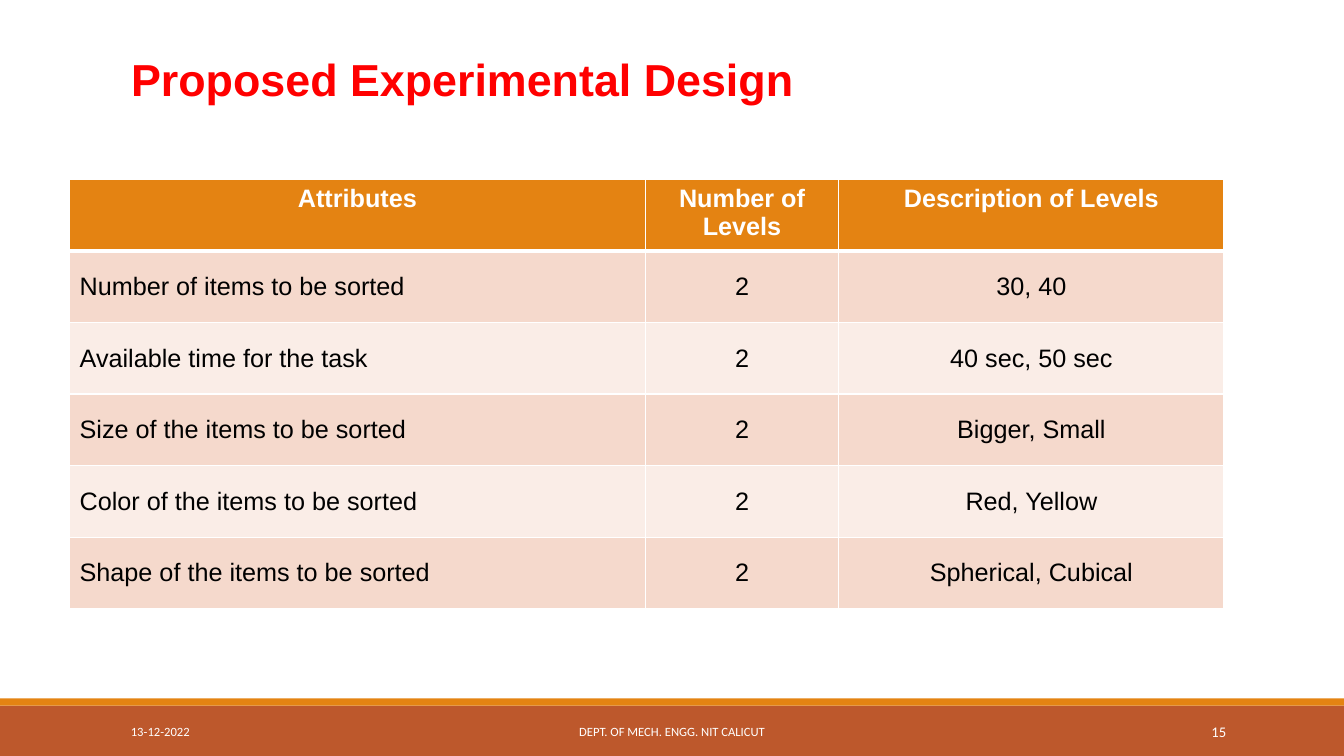
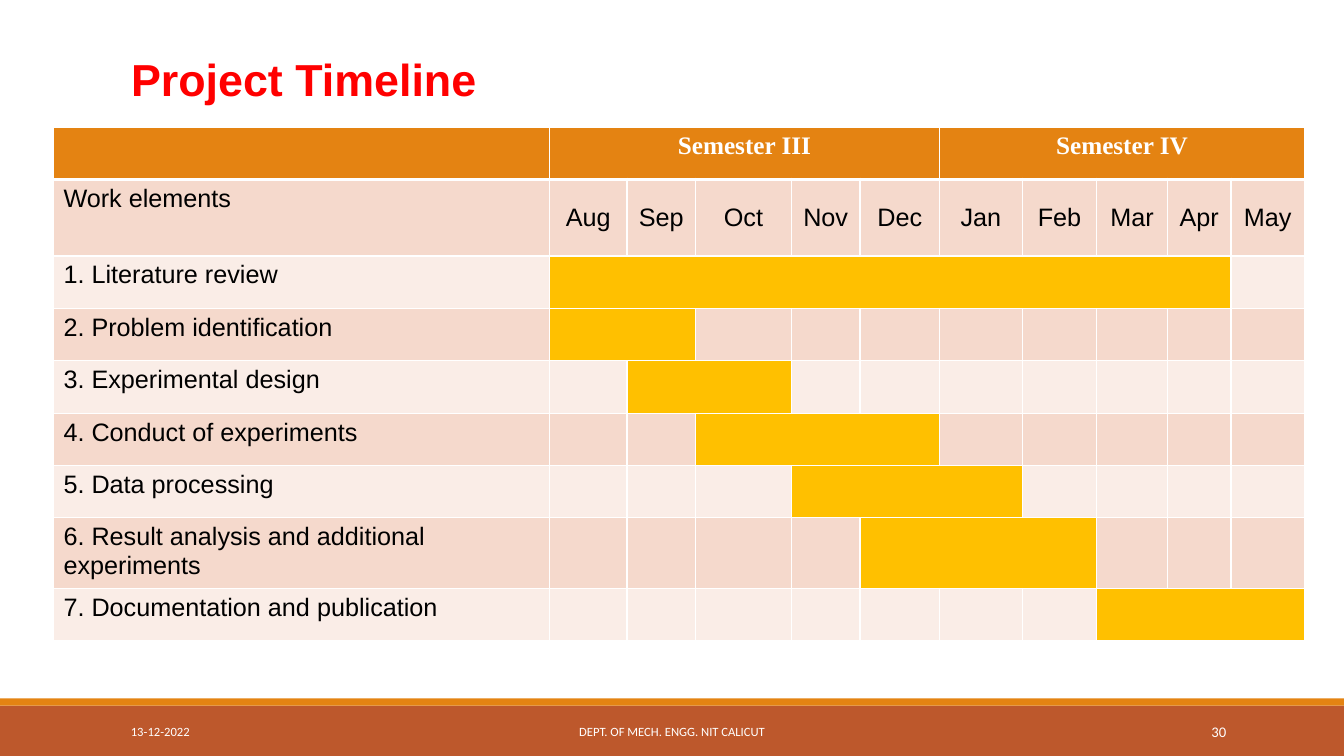
from lxml import etree
from pptx import Presentation
from pptx.dml.color import RGBColor
from pptx.enum.shapes import MSO_SHAPE
from pptx.enum.text import MSO_ANCHOR, MSO_AUTO_SIZE, PP_ALIGN
from pptx.oxml.ns import qn
from pptx.util import Inches, Pt

LEFT, CENTER, RIGHT = PP_ALIGN.LEFT, PP_ALIGN.CENTER, PP_ALIGN.RIGHT
TOP, MIDDLE = MSO_ANCHOR.TOP, MSO_ANCHOR.MIDDLE
RECTANGLE = MSO_SHAPE.RECTANGLE
NO_AUTOFIT = MSO_AUTO_SIZE.NONE

WHITE = RGBColor(0xFF, 0xFF, 0xFF)
BLACK = RGBColor(0x00, 0x00, 0x00)
RED = RGBColor(0xFF, 0x00, 0x00)
ORANGE = RGBColor(0xE4, 0x83, 0x12)
RUST = RGBColor(0xBD, 0x58, 0x2C)
AMBER = RGBColor(0xFF, 0xC0, 0x00)
STRIPES = (RGBColor(0xF5, 0xD9, 0xCC), RGBColor(0xFA, 0xED, 0xE7))

SANS, SERIF, FOOTER_FONT = "Arial", "Times New Roman", "Calibri"
TITLE_ONLY = 5
SLIDE_WIDTH, SLIDE_HEIGHT = 13.33, 7.5
TITLE_BOX = (1.2, 0.46, 10.9, 0.64)
BANDS = ((7, 0.5, RUST), (6.93, 0.07, ORANGE))
FOOTER_TOP, FOOTER_HEIGHT = 7.06, 0.4
DATE = "13-12-2022"
DEPARTMENT = "DEPT. OF MECH. ENGG. NIT CALICUT"
THIN, THICK = 1, 3

DESIGN_HEADER = ("Attributes", "Number of Levels", "Description of Levels")
DESIGN_ROWS = (
    ("Number of items to be sorted", "2", "30, 40"),
    ("Available time for the task", "2", "40 sec, 50 sec"),
    ("Size of the items to be sorted", "2", "Bigger, Small"),
    ("Color of the items to be sorted", "2", "Red, Yellow"),
    ("Shape of the items to be sorted", "2", "Spherical, Cubical"),
)

SEMESTERS = (("Semester III", 1), ("Semester IV", 6))
MONTHS_PER_SEMESTER = 5
MONTHS = ("Aug", "Sep", "Oct", "Nov", "Dec", "Jan", "Feb", "Mar", "Apr", "May")
TASKS = (
    ("1. Literature review", "Aug", "Apr"),
    ("2. Problem identification", "Aug", "Sep"),
    ("3. Experimental design", "Sep", "Oct"),
    ("4. Conduct of experiments", "Oct", "Dec"),
    ("5. Data processing", "Nov", "Jan"),
    ("6. Result analysis and additional experiments", "Dec", "Feb"),
    ("7. Documentation and publication", "Mar", "May"),
)


def write(frame, text, size, font, color, bold=False, align=LEFT):
    """Put one formatted paragraph into a text frame."""
    frame.text = text
    paragraph = frame.paragraphs[0]
    paragraph.alignment = align
    for run in paragraph.runs:
        run.font.size = Pt(size)
        run.font.name = font
        run.font.bold = bold
        run.font.color.rgb = color


def add_bands(slide, layout):
    """Draw the bottom bands and hand them to the layout all slides share."""
    for top, height, color in BANDS:
        band = slide.shapes.add_shape(
            RECTANGLE, 0, Inches(top), Inches(SLIDE_WIDTH), Inches(height))
        band.shadow.inherit = False
        band.fill.solid()
        band.fill.fore_color.rgb = color
        band.line.fill.background()
        layout.shapes._spTree.append(band._element)


def add_footer(slide, number):
    """Write date, department and slide number on the bottom band."""
    for left, width, text, size, align in (
            (1.2, 2.7, DATE, 9, LEFT),
            (4.03, 5.27, DEPARTMENT, 9, CENTER),
            (10.83, 1.43, number, 10.5, RIGHT)):
        entry = slide.shapes.add_textbox(
            Inches(left), Inches(FOOTER_TOP), Inches(width), Inches(FOOTER_HEIGHT))
        frame = entry.text_frame
        frame.word_wrap = True
        frame.vertical_anchor = MIDDLE
        write(frame, text, size, FOOTER_FONT, WHITE, align=align)


def add_titled_slide(deck, layout, title, number):
    """Add a slide with the shared title style and footer."""
    slide = deck.slides.add_slide(layout)
    heading = slide.shapes.title
    heading.left, heading.top, heading.width, heading.height = map(Inches, TITLE_BOX)
    frame = heading.text_frame
    frame.auto_size = NO_AUTOFIT
    frame.vertical_anchor = TOP
    write(frame, title, 32, SANS, RED, bold=True)
    add_footer(slide, number)
    return slide


def set_borders(cell, top, bottom):
    """Give a cell white borders, with its own top and bottom weights."""
    properties = cell._tc.get_or_add_tcPr()
    for side, weight in (("L", THIN), ("R", THIN), ("T", top), ("B", bottom)):
        line = etree.SubElement(properties, qn(f"a:ln{side}"), w=str(Pt(weight)))
        fill = etree.SubElement(line, qn("a:solidFill"))
        etree.SubElement(fill, qn("a:srgbClr"), val=str(WHITE))


def paint(cell, color):
    """Fill a cell with one colour."""
    cell.fill.solid()
    cell.fill.fore_color.rgb = color


def add_striped_table(slide, left, top, widths, heights):
    """Add a table with an orange header row and striped body rows."""
    table = slide.shapes.add_table(
        len(heights), len(widths), Inches(left), Inches(top),
        Inches(sum(widths)), Inches(sum(heights))).table
    for column, width in zip(table.columns, widths):
        column.width = Inches(width)
    for index, (row, height) in enumerate(zip(table.rows, heights)):
        row.height = Inches(height)
        for cell in row.cells:
            set_borders(cell, THICK if index == 1 else THIN,
                        THICK if index == 0 else THIN)
            paint(cell, STRIPES[(index - 1) % 2] if index else ORANGE)
    return table


def write_header(cell, text, font):
    """Write a bold white header cell."""
    write(cell.text_frame, text, 18, font, WHITE, bold=True, align=CENTER)


def write_body(cell, text, align=LEFT, anchor=MIDDLE):
    """Write a plain black body cell."""
    cell.vertical_anchor = anchor
    write(cell.text_frame, text, 18, SANS, BLACK, align=align)


def add_design_table(slide, left, top):
    """List the attributes of the experiment with their levels."""
    table = add_striped_table(slide, left, top, (5.71, 1.92, 3.82),
                              [0.71] * (len(DESIGN_ROWS) + 1))
    for column, heading in enumerate(DESIGN_HEADER):
        write_header(table.cell(0, column), heading, SANS)
    for row, entries in enumerate(DESIGN_ROWS, 1):
        for column, entry in enumerate(entries):
            write_body(table.cell(row, column), entry, CENTER if column else LEFT)


def add_timeline_table(slide, left, top):
    """Chart the work elements over the months of two semesters."""
    month_widths = (0.77, 0.68, 0.95, 0.68, 0.79, 0.82, 0.74, 0.7, 0.63, 0.73)
    table = add_striped_table(slide, left, top, (4.92, *month_widths),
                              (0.52, 0.76, *[0.52] * len(TASKS)))
    for semester, first in SEMESTERS:
        cell = table.cell(0, first)
        cell.merge(table.cell(0, first + MONTHS_PER_SEMESTER - 1))
        write_header(cell, semester, SERIF)
    write_body(table.cell(1, 0), "Work elements", anchor=TOP)
    for column, month in enumerate(MONTHS, 1):
        write_body(table.cell(1, column), month, CENTER)
    for row, (task, start, end) in enumerate(TASKS, 2):
        write_body(table.cell(row, 0), task, anchor=TOP)
        period = table.cell(row, MONTHS.index(start) + 1)
        period.merge(table.cell(row, MONTHS.index(end) + 1))
        paint(period, AMBER)


def main():
    """Build and save the deck."""
    deck = Presentation()
    deck.slide_width = Inches(SLIDE_WIDTH)
    deck.slide_height = Inches(SLIDE_HEIGHT)
    layout = deck.slide_layouts[TITLE_ONLY]

    design = add_titled_slide(deck, layout, "Proposed Experimental Design", "15")
    add_bands(design, layout)
    add_design_table(design, 0.69, 1.78)

    timeline = add_titled_slide(deck, layout, "Project Timeline", "30")
    add_timeline_table(timeline, 0.53, 1.26)

    deck.save("out.pptx")


if __name__ == "__main__":
    main()
